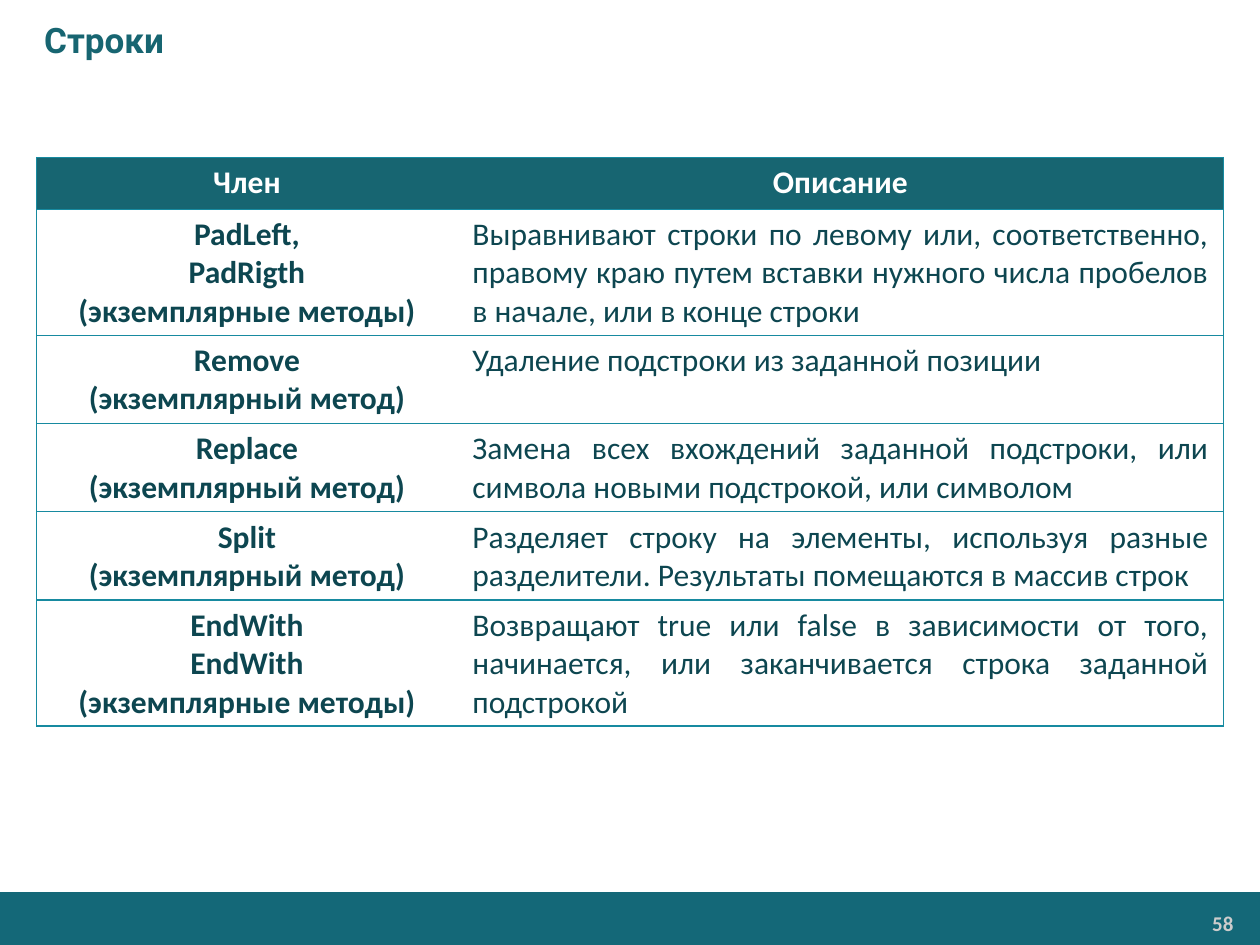
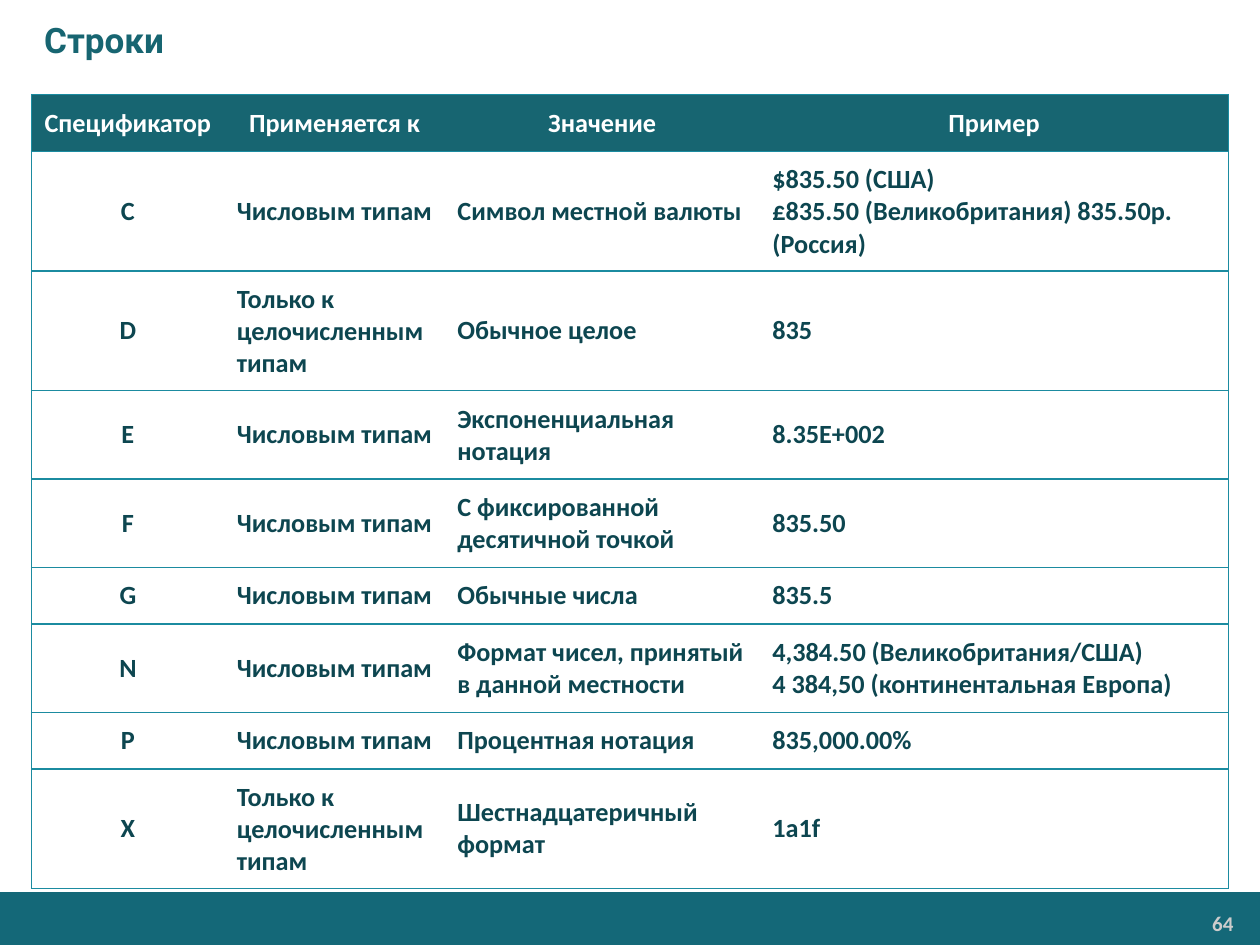
from lxml import etree
from pptx import Presentation
from pptx.dml.color import RGBColor
from pptx.enum.shapes import MSO_SHAPE
from pptx.enum.text import MSO_ANCHOR, MSO_AUTO_SIZE, PP_ALIGN
from pptx.oxml.ns import qn
from pptx.util import Inches, Pt

LEFT, CENTER, RIGHT, JUSTIFY = PP_ALIGN.LEFT, PP_ALIGN.CENTER, PP_ALIGN.RIGHT, PP_ALIGN.JUSTIFY
TOP, MIDDLE = MSO_ANCHOR.TOP, MSO_ANCHOR.MIDDLE
RECTANGLE = MSO_SHAPE.RECTANGLE
FIT_SHAPE = MSO_AUTO_SIZE.SHAPE_TO_FIT_TEXT

COLORS = {
    "band": "146878",
    "accent": "176571",
    "body": "0D4650",
    "number": "CCCCCC",
    "white": "FFFFFF",
}
TITLE_FONT, BODY_FONT = "Roboto", "Calibri"
PLAIN_TABLE_STYLE = "{2D5ABB26-0587-4C30-8999-92F81FD0307C}"

METHOD, METHODS = "(экземплярный метод)", "(экземплярные методы)"
NUMERIC, INTEGER = "Числовым типам", "Только к целочисленным типам"

SLIDES = [
    {
        "title": "Строки",
        "number": "58",
        "place": (0.29, 1.25, 9.42, 4.51),
        "columns": [3.34, 6.08],
        "heights": [0.41] * 6,
        "aligns": [CENTER, JUSTIFY],
        "bold": [True, False],
        "size": 18,
        "anchor": TOP,
        "margins": (0.12, 0.05),
        "fill": None,
        "border": ("178AA0", 0.75),
        "rows": [
            ("Член", "Описание"),
            (f"PadLeft,\nPadRigth\n{METHODS}",
             "Выравнивают строки по левому или, соответственно, правому краю "
             "путем вставки нужного числа пробелов в начале, или в конце строки"),
            (f"Remove\n{METHOD}", "Удаление подстроки из заданной позиции"),
            (f"Replace\n{METHOD}",
             "Замена всех вхождений заданной подстроки, или символа новыми "
             "подстрокой, или символом"),
            (f"Split\n{METHOD}",
             "Разделяет строку на элементы, используя разные разделители. "
             "Результаты помещаются в массив строк"),
            (f"EndWith\nEndWith\n{METHODS}",
             "Возвращают true или false в зависимости от того, начинается, "
             "или заканчивается строка заданной подстрокой"),
        ],
    },
    {
        "title": "Строки",
        "number": "64",
        "place": (0.25, 0.75, 9.5, 6.22),
        "columns": [1.53, 1.75, 2.5, 3.72],
        "heights": [0.43, 0.92, 0.87, 0.68, 0.68, 0.43, 0.61, 0.33, 0.92],
        "aligns": [CENTER, LEFT, LEFT, LEFT],
        "bold": [True] * 4,
        "size": 15,
        "anchor": MIDDLE,
        "margins": (0.1, 0.1),
        "fill": "white",
        "border": ("1B8BA0", 1),
        "rows": [
            ("Спецификатор", "Применяется к", "Значение", "Пример"),
            ("C", NUMERIC, "Символ местной валюты",
             "$835.50 (США)\v£835.50 (Великобритания) 835.50р.(Россия)"),
            ("D", INTEGER, "Обычное целое", "835"),
            ("E", NUMERIC, "Экспоненциальная нотация", "8.35Е+002"),
            ("F", NUMERIC, "С фиксированной десятичной точкой", "835.50"),
            ("G", NUMERIC, "Обычные числа", "835.5"),
            ("N", NUMERIC, "Формат чисел, принятый в данной местности",
             "4,384.50 (Великобритания/США)\v4 384,50 (континентальная Европа)"),
            ("P", NUMERIC, "Процентная нотация", "835,000.00%"),
            ("X", INTEGER, "Шестнадцатеричный формат", "1a1f"),
        ],
    },
]


def color(name):
    return RGBColor.from_string(COLORS[name])


def inches(values):
    return [Inches(value) for value in values]


def write(frame, text, font, size, color_name, align, bold=True):
    frame.text = text
    for para in frame.paragraphs:
        para.alignment = align
        for span in para.runs:
            span.font.name = font
            span.font.size = Pt(size)
            span.font.bold = bold
            span.font.color.rgb = color(color_name)


def set_margins(target, horizontal, vertical):
    target.margin_left = target.margin_right = Inches(horizontal)
    target.margin_top = target.margin_bottom = Inches(vertical)


def add_title(page, text):
    title = page.shapes.title
    title.left, title.top, title.width, title.height = inches((0, 0, 10, 0.63))
    frame = title.text_frame
    frame.vertical_anchor = MIDDLE
    write(frame, text, TITLE_FONT, 20, "accent", LEFT)
    properties = frame.paragraphs[0]._p.get_or_add_pPr()
    properties.set("marL", str(Inches(0.25)))
    properties.set("indent", "0")


def add_footer(page, number):
    band = page.shapes.add_shape(RECTANGLE, *inches((0, 7.08, 10.01, 0.43)))
    band.shadow.inherit = False
    band.fill.solid()
    band.fill.fore_color.rgb = color("band")
    band.line.fill.background()
    box = page.shapes.add_textbox(*inches((8.23, 7.19, 1.63, 0.28)))
    frame = box.text_frame
    frame.word_wrap = True
    frame.auto_size = FIT_SHAPE
    set_margins(frame, 0.07, 0.04)
    write(frame, number, BODY_FONT, 12, "number", RIGHT)


def set_borders(cell, sides, border):
    hex_color, width = border
    properties = cell._tc.get_or_add_tcPr()
    for position, side in enumerate(sides):
        line = etree.Element(qn(f"a:{side}"), w=str(Pt(width)))
        fill = etree.SubElement(line, qn("a:solidFill"))
        etree.SubElement(fill, qn("a:srgbClr"), val=hex_color)
        properties.insert(position, line)


def add_table(page, content):
    rows, columns = content["rows"], content["columns"]
    frame = page.shapes.add_table(len(rows), len(columns), *inches(content["place"]))
    table = frame.table
    table.horz_banding = False
    table._tbl.tblPr.find(qn("a:tableStyleId")).text = PLAIN_TABLE_STYLE
    for column, width in zip(table.columns, columns):
        column.width = Inches(width)
    for row, height in zip(table.rows, content["heights"]):
        row.height = Inches(height)
    for row_index, texts in enumerate(rows):
        header = row_index == 0
        fill = "accent" if header else content["fill"]
        for column_index, text in enumerate(texts):
            cell = table.cell(row_index, column_index)
            write(cell.text_frame, text, BODY_FONT, content["size"],
                  "white" if header else "body",
                  CENTER if header else content["aligns"][column_index],
                  header or content["bold"][column_index])
            cell.vertical_anchor = content["anchor"]
            set_margins(cell, *content["margins"])
            if fill:
                cell.fill.solid()
                cell.fill.fore_color.rgb = color(fill)
            else:
                cell.fill.background()
            sides = ["lnT", "lnB"]
            if column_index == len(columns) - 1:
                sides.insert(0, "lnR")
            if column_index == 0:
                sides.insert(0, "lnL")
            set_borders(cell, sides, content["border"])


def main():
    deck = Presentation()
    deck.slide_width, deck.slide_height = Inches(10), Inches(7.5)
    title_only = deck.slide_layouts[5]
    for content in SLIDES:
        page = deck.slides.add_slide(title_only)
        add_footer(page, content["number"])
        add_title(page, content["title"])
        add_table(page, content)
    deck.save("out.pptx")


if __name__ == "__main__":
    main()
